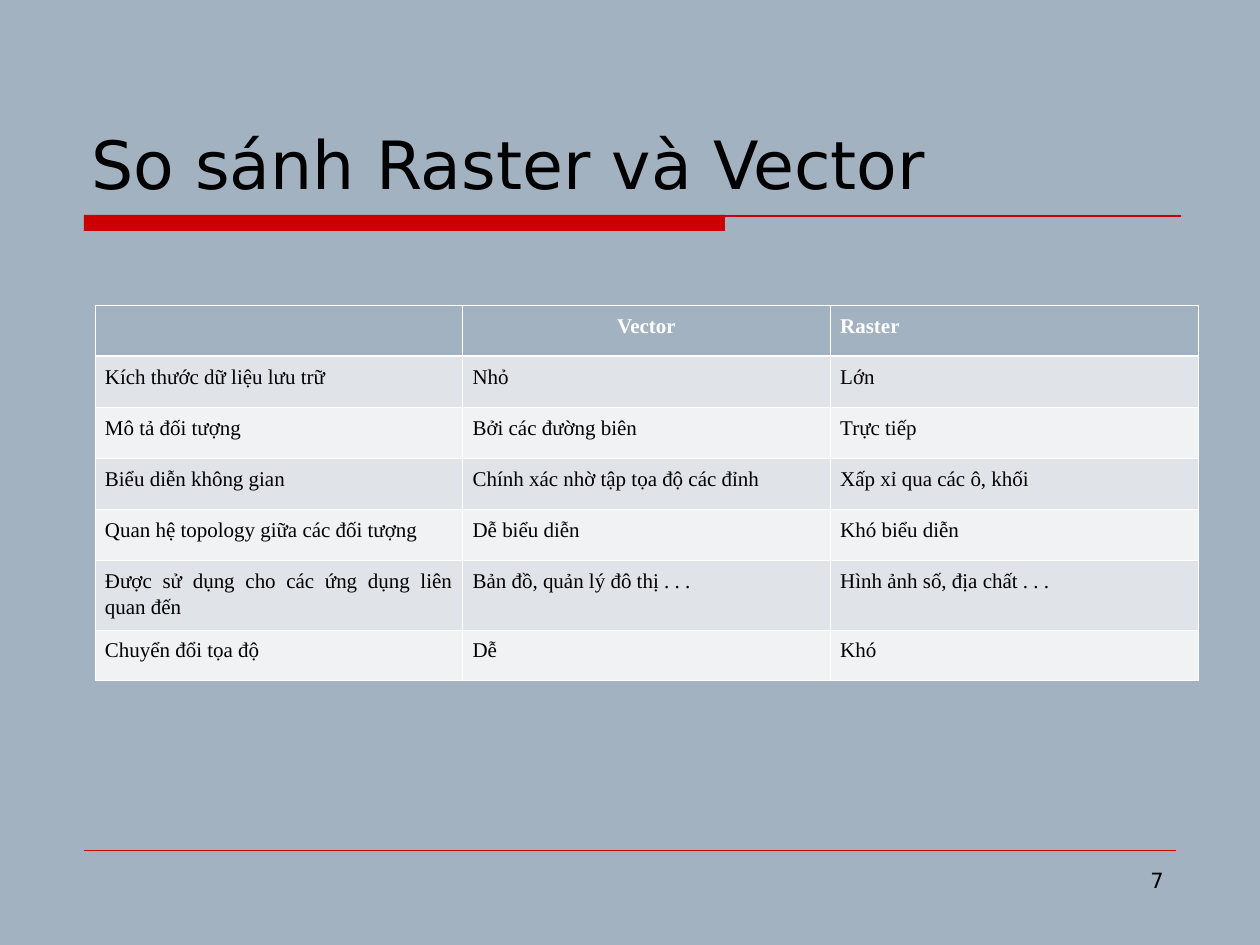
import dataclasses

import pptx
import pptx.dml.color
import pptx.enum.shapes
import pptx.enum.text
import pptx.oxml
import pptx.oxml.ns
import pptx.util

ALIGN = pptx.enum.text.PP_ALIGN
ANCHOR = pptx.enum.text.MSO_ANCHOR


@dataclasses.dataclass(frozen=True)
class Theme:
    background: str = "A3B2C1"
    accent: str = "CC0000"
    ink: str = "000000"
    white: str = "FFFFFF"
    bands: tuple = ("E0E4E9", "F0F2F4")
    sans: str = "DejaVu Sans"
    serif: str = "Times New Roman"
    title_size: int = 38
    body_size: int = 12
    rule: float = 0.75
    footer_rule: float = 0.25
    grid: float = 0.45
    header_grid: float = 1.47


def px(n):
    return pptx.util.Emu(round(n * 914400 / 126))


def rgb(value):
    return pptx.dml.color.RGBColor.from_string(value)


class Deck:
    def __init__(self, theme):
        self.theme = theme
        self.prs = pptx.Presentation()
        self.prs.slide_width, self.prs.slide_height = px(1260), px(945)
        self.s = self.prs.slides.add_slide(self.prs.slide_layouts[6])
        fill = self.s.background.fill
        fill.solid()
        fill.fore_color.rgb = rgb(theme.background)

    def style(self, p, font, size, color, align, bold=False):
        p.alignment = align
        for r in p.runs:
            r.font.name, r.font.size = font, pptx.util.Pt(size)
            r.font.bold, r.font.color.rgb = bold, rgb(color)

    def text(self, text, x, y, w, h, size, align=ALIGN.LEFT, anchor=ANCHOR.TOP):
        tf = self.s.shapes.add_textbox(px(x), px(y), px(w), px(h)).text_frame
        tf.word_wrap, tf.vertical_anchor = True, anchor
        tf.text = text
        self.style(tf.paragraphs[0], self.theme.sans, size, self.theme.ink, align)

    def bar(self, x, y, w, h):
        sp = self.s.shapes.add_shape(
            pptx.enum.shapes.MSO_SHAPE.RECTANGLE, px(x), px(y), px(w), px(h))
        sp.shadow.inherit = False
        sp.fill.solid()
        sp.fill.fore_color.rgb = rgb(self.theme.accent)
        sp.line.fill.background()

    def line(self, x1, x2, y, width):
        cx = self.s.shapes.add_connector(
            pptx.enum.shapes.MSO_CONNECTOR.STRAIGHT, px(x1), px(y), px(x2), px(y))
        cx.line.color.rgb = rgb(self.theme.accent)
        cx.line.width = pptx.util.Pt(width)
        pptx.oxml.ns.qn("a:effectLst")
        cx._element.spPr.append(pptx.oxml.parse_xml(
            f'<a:effectLst {pptx.oxml.ns.nsdecls("a")}/>'))

    def borders(self, cell, **widths):
        tc_pr = cell._tc.get_or_add_tcPr()
        for i, side in enumerate("LRTB"):
            width = pptx.util.Pt(widths.get(side, self.theme.grid))
            tc_pr.insert(i, pptx.oxml.parse_xml(
                f'<a:ln{side} {pptx.oxml.ns.nsdecls("a")} w="{width}"><a:solidFill>'
                f'<a:srgbClr val="{self.theme.white}"/></a:solidFill></a:ln{side}>'))

    def cell(self, cell, text, row, col):
        t = self.theme
        header = row == 0
        cell.margin_left = cell.margin_right = px(10)
        cell.margin_top = cell.margin_bottom = px(6)
        cell.fill.solid()
        cell.fill.fore_color.rgb = rgb(t.background if header else t.bands[(row - 1) % 2])
        heavy = {0: {"B": t.header_grid}, 1: {"T": t.header_grid}}
        self.borders(cell, **heavy.get(row, {}))
        cell.text_frame.text = text
        p = cell.text_frame.paragraphs[0]
        p.line_spacing, p.space_after = 1.15, pptx.util.Pt(6)
        align = ALIGN.CENTER if header and col == 1 else ALIGN.JUSTIFY
        self.style(p, t.serif, t.body_size, t.white if header else t.ink, align, header)

    def table(self, rows, x, y, w, heights):
        table = self.s.shapes.add_table(
            len(rows), len(rows[0]), px(x), px(y), px(w), px(sum(heights))).table
        table.horz_banding = False
        for i, (row, height) in enumerate(zip(rows, heights)):
            table.rows[i].height = px(height)
            for j, text in enumerate(row):
                self.cell(table.cell(i, j), text, i, j)


ROWS = [
    ("", "Vector", "Raster"),
    ("Kích thước dữ liệu lưu trữ", "Nhỏ", "Lớn"),
    ("Mô tả đối tượng", "Bởi các đường biên", "Trực tiếp"),
    ("Biểu diễn không gian", "Chính xác nhờ tập tọa độ các đỉnh", "Xấp xỉ qua các ô, khối"),
    ("Quan hệ topology giữa các đối tượng", "Dễ biểu diễn", "Khó biểu diễn"),
    ("Được sử dụng cho các ứng dụng liên quan đến", "Bản đồ, quản lý đô thị . . .",
     "Hình ảnh số, địa chất . . ."),
    ("Chuyển đổi tọa độ", "Dễ", "Khó"),
]


def main():
    theme = Theme()
    deck = Deck(theme)
    deck.bar(84, 215, 641, 16)
    deck.line(84, 1181, 216, theme.rule)
    deck.line(84, 1176, 850, theme.footer_rule)
    deck.text("So sánh Raster và Vector", 79, 42, 1103, 167, theme.title_size,
              anchor=ANCHOR.BOTTOM)
    deck.table(ROWS, 95, 305, 1103, [51] * 5 + [58, 51])
    deck.text("7", 903, 861, 273, 66, theme.body_size, align=ALIGN.RIGHT)
    deck.prs.save("out.pptx")


if __name__ == "__main__":
    main()
